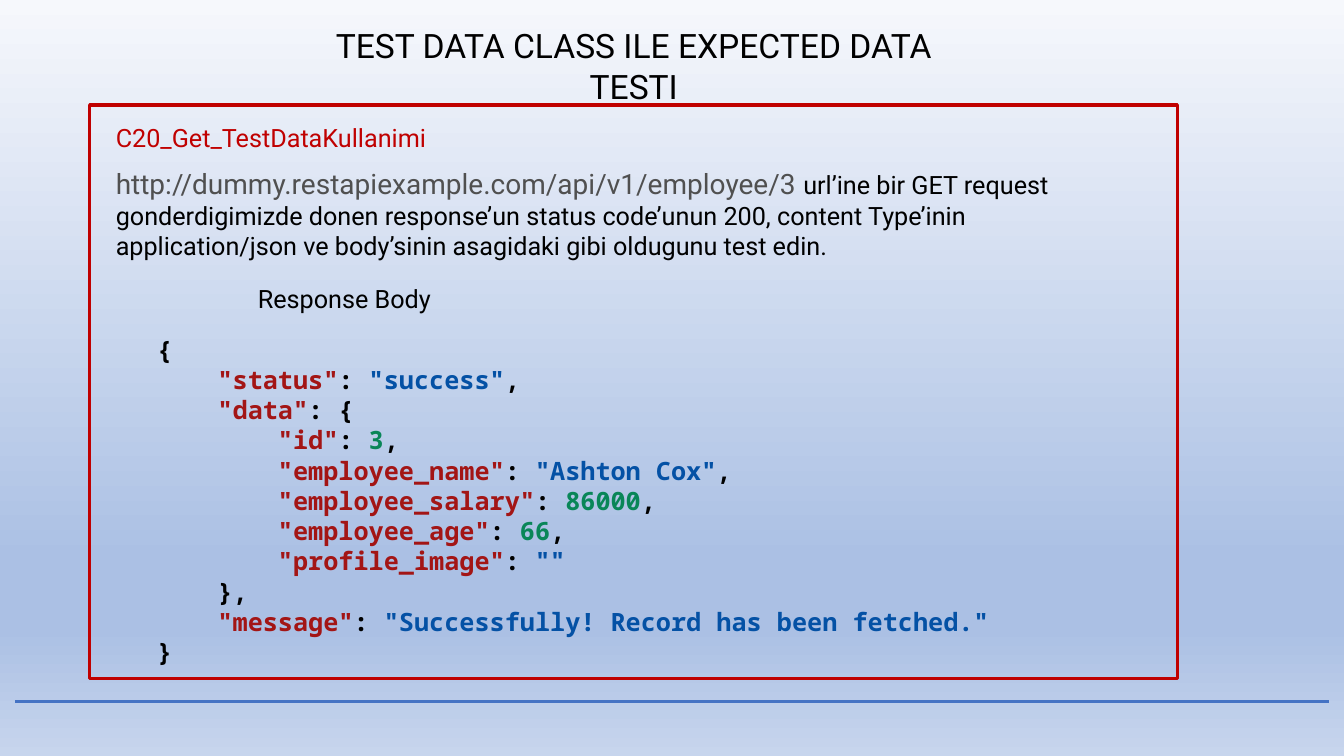
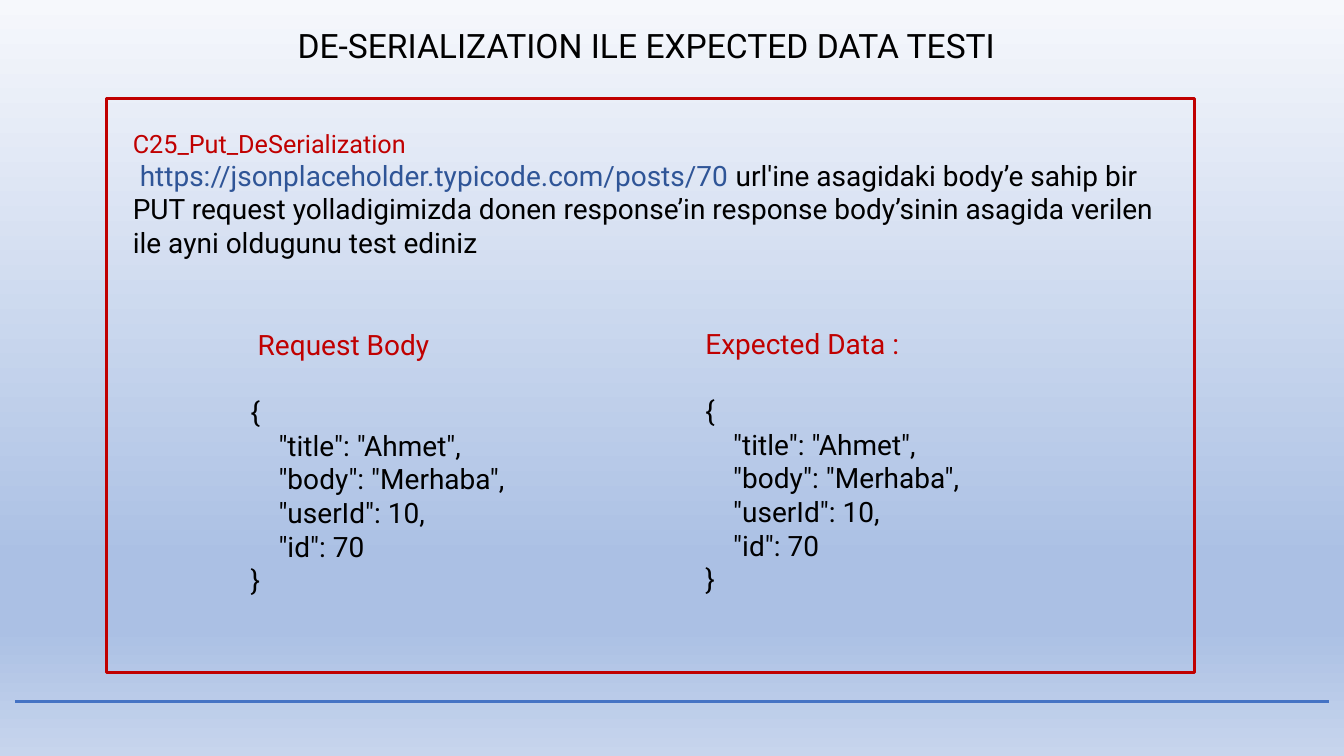
from lxml import etree
from pptx import Presentation
from pptx.dml.color import RGBColor
from pptx.enum.shapes import MSO_CONNECTOR, MSO_SHAPE
from pptx.enum.text import MSO_ANCHOR, MSO_AUTO_SIZE, PP_ALIGN
from pptx.oxml.ns import qn
from pptx.util import Pt

RECTANGLE = MSO_SHAPE.RECTANGLE
STRAIGHT = MSO_CONNECTOR.STRAIGHT
TOP = MSO_ANCHOR.TOP
GROW = MSO_AUTO_SIZE.SHAPE_TO_FIT_TEXT
CENTER = PP_ALIGN.CENTER
LEFT = PP_ALIGN.LEFT

SANS, MONO = "Roboto", "Noto Sans Mono"
BLACK, RED, RULE_BLUE = "000000", "C00000", "4472C4"
URL_GREY, URL_BLUE = "505050", "2F5597"
KEY, STRING, NUMBER = "A31515", "0451A5", "098658"
SKY = [(0, "F6F8FC"), (74, "ABC0E4"), (83, "ABC0E4"), (100, "C7D5ED")]
TITLE_TOP, TITLE_HEIGHT = 14.4, 36
FRAME_WIDTH, FRAME_HEIGHT = 777, 409.7
RULE_LEFT, RULE_RIGHT, RULE_Y = 10.8, 949, 501


def rgb(hex_code):
    return RGBColor.from_string(hex_code)


def write(box, lines, size, align=LEFT, font=SANS, bold=False):
    frame = box.text_frame
    frame.word_wrap = True
    frame.auto_size = GROW
    frame.vertical_anchor = TOP
    for index, line in enumerate(lines):
        paragraph = frame.add_paragraph() if index else frame.paragraphs[0]
        paragraph.alignment = align
        for text, color, *own_size in line:
            run = paragraph.add_run()
            run.text = text
            run.font.name = font
            run.font.size = Pt(own_size[0] if own_size else size)
            run.font.bold = bold
            run.font.color.rgb = rgb(color)
    return frame.paragraphs


deck = Presentation()
deck.slide_width, deck.slide_height = Pt(960), Pt(540)

master = deck.slide_master
sky_fill = master.background.fill
sky_fill.gradient()
sky_fill.gradient_angle = 270
stops = master.element.find(".//" + qn("a:gsLst"))
for old_stop in list(stops):
    stops.remove(old_stop)
for percent, color in SKY:
    stop = etree.SubElement(stops, qn("a:gs"), pos=str(percent * 1000))
    etree.SubElement(stop, qn("a:srgbClr"), val=color)

slides = []
for heading, heading_width, frame_left, frame_top in [
    ("TEST DATA CLASS ILE EXPECTED DATA TESTI", 505.4, 64, 75),
    ("DE-SERIALIZATION ILE EXPECTED DATA TESTI", 523.4, 76.3, 70.6),
]:
    slide = deck.slides.add_slide(deck.slide_layouts.get_by_name("Title Only"))
    slides.append(slide)
    title = slide.shapes.title
    title.left, title.top = Pt(200), Pt(TITLE_TOP)
    title.width, title.height = Pt(heading_width), Pt(TITLE_HEIGHT)
    write(title, [[(heading, BLACK)]], 24, CENTER)

    border = slide.shapes.add_shape(
        RECTANGLE, Pt(frame_left), Pt(frame_top), Pt(FRAME_WIDTH), Pt(FRAME_HEIGHT))
    border.shadow.inherit = False
    border.fill.background()
    border.line.color.rgb = rgb(RED)
    border.line.width = Pt(2.25)

    rule = slide.shapes.add_connector(
        STRAIGHT, Pt(RULE_LEFT), Pt(RULE_Y), Pt(RULE_RIGHT), Pt(RULE_Y))
    rule.line.color.rgb = rgb(RULE_BLUE)
    rule.line.width = Pt(2.25)
    etree.SubElement(rule._element.spPr, qn("a:effectLst"))

get_slide, put_slide = slides

class_name = get_slide.shapes.add_textbox(Pt(75.6), Pt(83.5), Pt(406), Pt(29))
write(class_name, [[("C20_Get_TestDataKullanimi", RED)]], 18)

get_task = get_slide.shapes.add_textbox(Pt(75.6), Pt(115.2), Pt(755.3), Pt(75))
write(get_task, [[
    ("http://dummy.restapiexample.com/api/v1/employee/3 ", URL_GREY, 20),
    ("url’ine bir GET request gonderdigimizde donen response’un status code’unun 200, "
     "content Type’inin application/json ve body’sinin asagidaki gibi oldugunu test edin.",
     BLACK),
]], 18)

response_label = get_slide.shapes.add_textbox(Pt(105.1), Pt(198.7), Pt(648), Pt(29))
label_line = write(response_label, [[("Response Body", BLACK)]], 18)[0]
label_line._p.get_or_add_pPr().set("marL", str(Pt(72)))

json_lines = [[("{", BLACK)]]
for indent, key, value, color, ending in [
    (4, "status", '"success"', STRING, ","),
    (4, "data", "{", BLACK, ""),
    (8, "id", "3", NUMBER, ","),
    (8, "employee_name", '"Ashton Cox"', STRING, ","),
    (8, "employee_salary", "86000", NUMBER, ","),
    (8, "employee_age", "66", NUMBER, ","),
    (8, "profile_image", '""', STRING, ""),
    (4, "message", '"Successfully! Record has been fetched."', STRING, ""),
]:
    if key == "message":
        json_lines.append([("    },", BLACK)])
    json_line = [(" " * indent + f'"{key}"', KEY), (": ", BLACK), (value, color)]
    if ending:
        json_line.append((ending, BLACK))
    json_lines.append(json_line)
json_lines.append([("}", BLACK)])

response_body = get_slide.shapes.add_textbox(Pt(105.1), Pt(235), Pt(648), Pt(245))
for paragraph in write(response_body, json_lines, 18, font=MONO, bold=True):
    paragraph.line_spacing = Pt(21.6)

put_task = put_slide.shapes.add_textbox(Pt(87.8), Pt(87.8), Pt(747.4), Pt(101.5))
task_lines = write(put_task, [
    [("C25_Put_DeSerialization", RED, 18)],
    [("https://jsonplaceholder.typicode.com/posts/70 ", URL_BLUE),
     ("url'ine asagidaki body’e sahip bir PUT request yolladigimizda donen response’in "
      "response body’sinin asagida verilen ile ayni oldugunu test ediniz", BLACK)],
], 20)
task_lines[1]._p.get_or_add_pPr().set("indent", str(Pt(5)))

post_json = ["{", '    "title": "Ahmet",', '    "body": "Merhaba",',
             '    "userId": 10,', '    "id": 70', "}"]
for label, left, top, width, label_indent in [
    ("Request Body", 172, 230.4, 267, 5),
    ("Expected Data :", 496.8, 229.7, 240, 0),
]:
    post = put_slide.shapes.add_textbox(Pt(left), Pt(top), Pt(width), Pt(201))
    post_lines = write(
        post, [[(label, RED)]] + [[(code, BLACK)] for code in post_json], 20)
    post_lines[0]._p.get_or_add_pPr().set("marL", str(Pt(label_indent)))
    post_lines[1].space_before = Pt(24)

deck.save("out.pptx")
